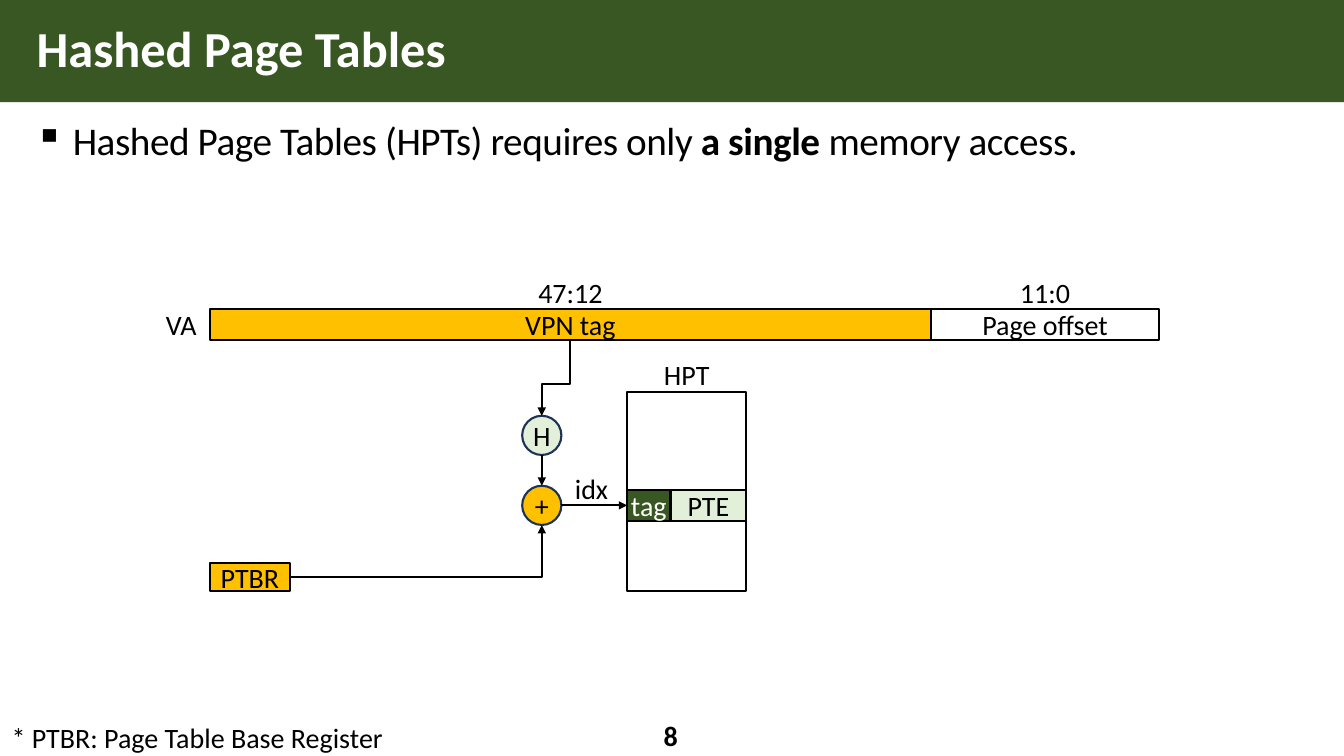
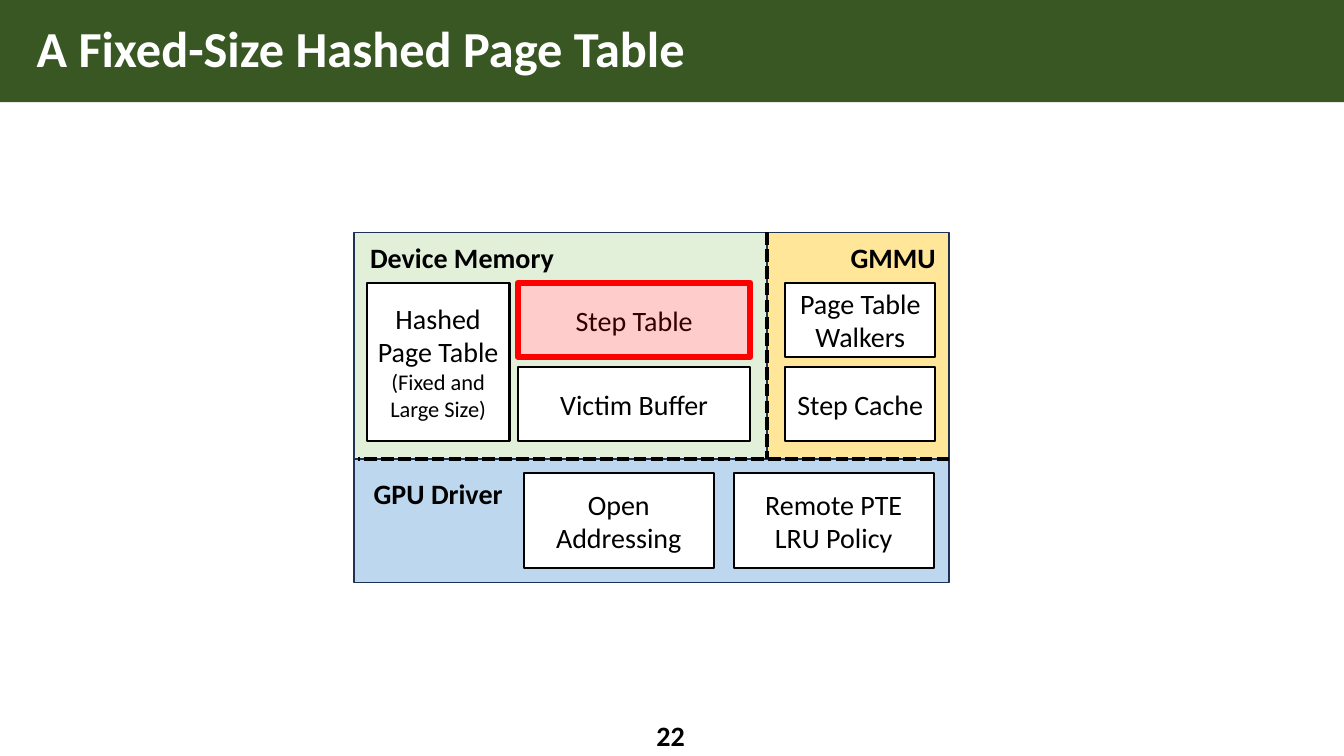
from lxml import etree
from pptx import Presentation
from pptx.dml.color import RGBColor
from pptx.enum.dml import MSO_LINE
from pptx.enum.shapes import MSO_CONNECTOR as CONNECTOR, MSO_SHAPE as SHAPE
from pptx.enum.text import MSO_ANCHOR as ANCHOR, PP_ALIGN as ALIGN
from pptx.oxml.ns import qn
from pptx.util import Pt

COLORS = {
    "black": "000000",
    "white": "FFFFFF",
    "forest": "385723",
    "mint": "E2F0D9",
    "amber": "FFC000",
    "sand": "FFE699",
    "sky": "BDD7EE",
    "navy": "1E3256",
    "red": "FF0000",
}
RGB = {name: RGBColor.from_string(code) for name, code in COLORS.items()}
FONT = "Calibri"


def add_box(slide, bounds, text="", fill=None, line="black", weight=1.5,
            color="black", bold=False, kind=SHAPE.RECTANGLE, inset=0):
    """Add a box with centred text; with line=None it is a bare label."""
    bounds = [Pt(value) for value in bounds]
    if line is None:
        box = slide.shapes.add_textbox(*bounds)
    else:
        box = slide.shapes.add_shape(kind, *bounds)
        box.shadow.inherit = False
        box.line.color.rgb = RGB[line]
        box.line.width = Pt(weight)
    if fill:
        box.fill.solid()
        box.fill.fore_color.rgb = RGB[fill]
    else:
        box.fill.background()
    frame = box.text_frame
    frame.word_wrap = True
    frame.vertical_anchor = ANCHOR.MIDDLE
    frame.margin_left = frame.margin_right = Pt(inset)
    frame.margin_top = frame.margin_bottom = 0
    frame.text = text
    for paragraph in frame.paragraphs:
        paragraph.alignment = ALIGN.CENTER
        paragraph.font.name = FONT
        paragraph.font.size = Pt(20)
        paragraph.font.bold = bold
        paragraph.font.color.rgb = RGB[color]
    return box


def add_line(slide, start, end, kind=CONNECTOR.STRAIGHT, weight=1.5, arrow=True):
    line = slide.shapes.add_connector(kind, *[Pt(value) for value in (*start, *end)])
    line.line.color.rgb = RGB["black"]
    line.line.width = Pt(weight)
    if arrow:
        etree.SubElement(line.line._get_or_add_ln(), qn("a:tailEnd"), type="triangle")
    else:
        line.line.dash_style = MSO_LINE.SQUARE_DOT
    etree.SubElement(line.element.spPr, qn("a:effectLst"))
    return line


deck = Presentation()
deck.slide_width, deck.slide_height = Pt(960), Pt(540)
layout = deck.slide_layouts[5]

# Shared title style, title band and page number
slides = []
for heading, number in [("Hashed Page Tables", "8"),
                        ("A Fixed-Size Hashed Page Table", "22")]:
    slide = deck.slides.add_slide(layout)
    slides.append(slide)
    title = slide.shapes.title
    title.left, title.top, title.width, title.height = Pt(19), 0, Pt(920), Pt(73)
    title.text_frame.text = heading
    title.text_frame.vertical_anchor = ANCHOR.MIDDLE
    paragraph = title.text_frame.paragraphs[0]
    paragraph.alignment = ALIGN.LEFT
    paragraph.line_spacing = 0.9
    paragraph.font.name = FONT
    paragraph.font.size = Pt(36)
    paragraph.font.bold = True
    paragraph.font.color.rgb = RGB["white"]
    add_box(slide, (427, 511, 104, 29), number, line=None, bold=True)

# The band belongs to the layout, behind its placeholders
band = add_box(slides[0], (0, 0, 960, 73), fill="forest")
band.line.fill.background()
band.element.nvSpPr.cNvPr.set("id", "20")
layout.shapes.element.insert(2, band.element)

# Hashed page table lookup
lookup, design = slides
statement = lookup.shapes.add_textbox(Pt(19), Pt(81), Pt(920), Pt(50)).text_frame
statement.word_wrap = True
statement.margin_left = statement.margin_top = Pt(6)
statement.margin_right, statement.margin_bottom = Pt(3), 0
paragraph = statement.paragraphs[0]
paragraph.line_spacing = 0.9
paragraph.font.name = FONT
paragraph.font.size = Pt(28)
paragraph.font.color.rgb = RGB["black"]
for text, bold in [("Hashed Page Tables (HPTs) requires only ", False),
                   ("a single", True), (" memory access.", False)]:
    run = paragraph.add_run()
    run.text = text
    run.font.bold = bold
    run.font._element.set("spc", "-30")
properties = paragraph._p.get_or_add_pPr()
properties.set("marL", str(Pt(27)))
properties.set("indent", str(-Pt(27)))
bullet = etree.Element(qn("a:buChar"), char="▪")
properties.find(qn("a:lnSpc")).addnext(bullet)

for left, width, field, bits, fill in [(665, 163, "Page offset", "11:0", None),
                                       (150, 515, "VPN tag", "47:12", "amber")]:
    add_box(lookup, (left, 221, width, 22), field, fill)
    add_box(lookup, (left, 198, width, 22), bits, line=None)

add_box(lookup, (150, 402, 57, 20), "PTBR", "amber")
for top, symbol, fill in [(347, "+", "amber"), (297, "H", "mint")]:
    add_box(lookup, (373, top, 28, 28), symbol, fill, "navy", kind=SHAPE.OVAL)

add_box(lookup, (448, 280, 85, 142), fill="white")
add_box(lookup, (479, 350, 54, 22), "PTE", "mint")
add_box(lookup, (448, 350, 31, 22), "tag", "forest", color="white")

for bounds, text in [((398, 337, 49, 24), "idx"), ((448, 255, 85, 24), "HPT"),
                     ((109, 221, 41, 22), "VA"),
                     ((0, 513, 282, 27), "* PTBR: Page Table Base Register")]:
    add_box(lookup, bounds, text, line=None)

add_line(lookup, (387, 325), (387, 347))
add_line(lookup, (401, 361), (448, 361))
base_arrow = add_line(lookup, (207, 412), (387, 375), CONNECTOR.ELBOW)
base_arrow.element.spPr.find(qn("a:prstGeom")).set("prst", "bentConnector2")

# A quarter turn makes the elbow leave the VPN field downwards
drop, shift = 54, 20
middle_x, middle_y = 387 + shift / 2, 243 + drop / 2
hash_arrow = add_line(lookup, (middle_x - drop / 2, middle_y - shift / 2),
                      (middle_x + drop / 2, middle_y + shift / 2), CONNECTOR.ELBOW)
hash_arrow.element.spPr.find(qn("a:xfrm")).set("rot", "5400000")
bends = hash_arrow.element.spPr.find(qn("a:prstGeom")).get_or_add_avLst()
etree.SubElement(bends, qn("a:gd"), name="adj1", fmla="val 57400")

# Fixed-size design: three regions, their parts and the highlighted table
for bounds, fill in [((253, 328, 425, 88), "sky"), ((548, 166, 130, 162), "sand"),
                     ((253, 166, 295, 162), "mint")]:
    add_box(design, bounds, fill=fill, line="navy", weight=1)

for bounds, region in [((256, 169, 148, 30), "Device Memory"),
                       ((600, 169, 76, 30), "GMMU"),
                       ((259, 337, 108, 30), "GPU Driver")]:
    add_box(design, bounds, region, line=None, bold=True)

add_line(design, (678, 328), (256, 328), weight=3, arrow=False)
add_line(design, (548, 166), (548, 328), weight=3, arrow=False)

step_table = (370, 202, 166, 53)
for bounds, part in [(step_table, "Step Table"),
                     ((370, 262, 166, 53), "Victim Buffer"),
                     ((561, 202, 107, 53), "Page Table Walkers"),
                     ((561, 262, 107, 53), "Step Cache"),
                     ((374, 338, 136, 68), "Open Addressing"),
                     ((524, 338, 143, 68), "Remote PTE LRU Policy")]:
    add_box(design, bounds, part, "white", inset=7)
hashed_table = add_box(design, (262, 202, 102, 113),
                       "Hashed Page Table\n(Fixed and Large Size)", "white", inset=7)
hashed_table.text_frame.paragraphs[1].font.size = Pt(16)

highlight = add_box(design, step_table, fill="red", line="red", weight=4.5)
tint = highlight.element.spPr.find(qn("a:solidFill"))[0]
etree.SubElement(tint, qn("a:alpha"), val="20000")

deck.save("out.pptx")
